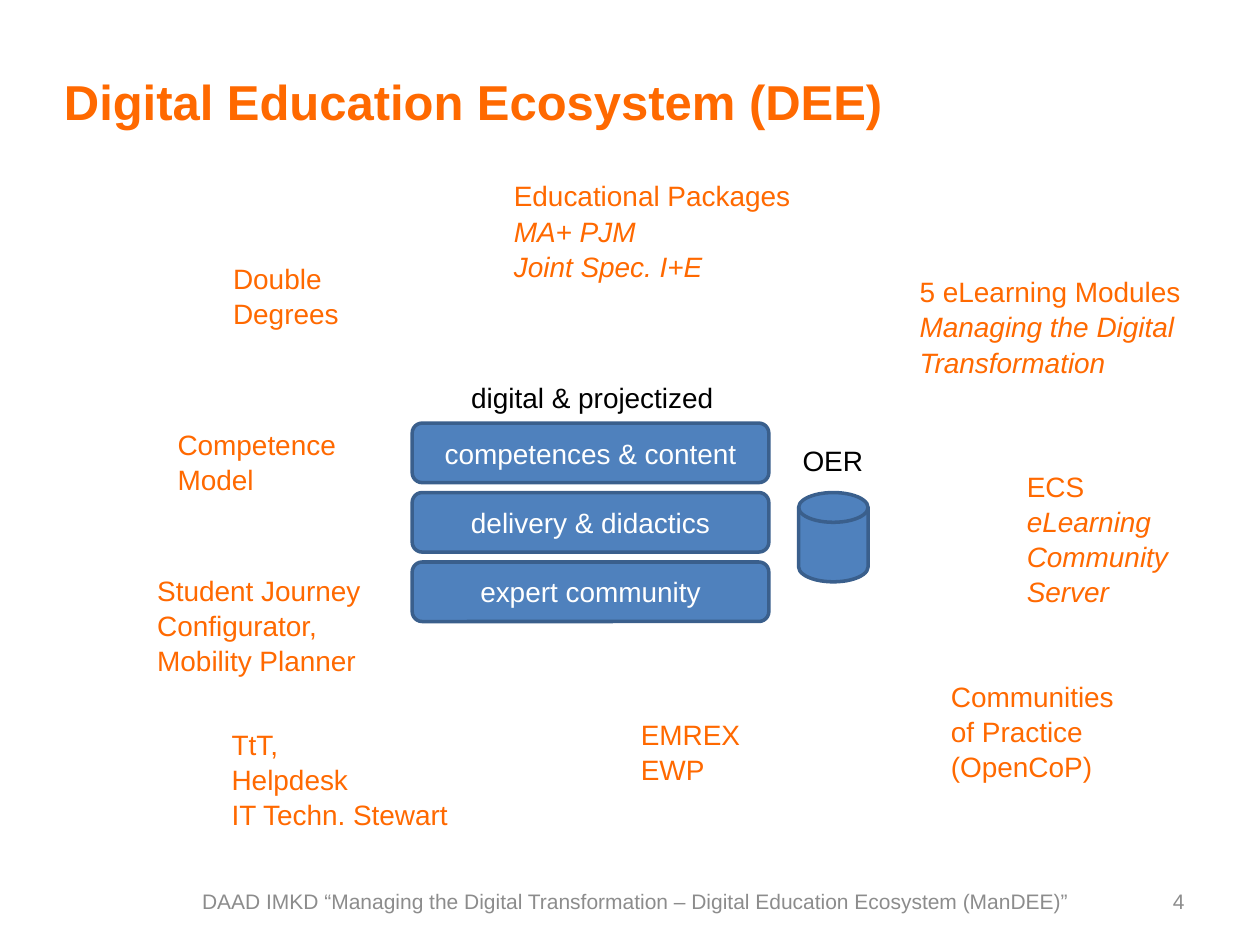
from pptx import Presentation
from pptx.dml.color import RGBColor
from pptx.enum.shapes import MSO_SHAPE as Shape
from pptx.enum.text import MSO_ANCHOR as Anchor, MSO_AUTO_SIZE as AutoSize, PP_ALIGN as Align
from pptx.util import Cm, Pt

ORANGE = RGBColor(0xFF, 0x69, 0x00)
BLUE = RGBColor(0x4F, 0x81, 0xBD)
DARK_BLUE = RGBColor(0x3A, 0x5F, 0x8C)
GREY = RGBColor(0x8C, 0x8C, 0x8C)
BLACK = RGBColor(0x00, 0x00, 0x00)
WHITE = RGBColor(0xFF, 0xFF, 0xFF)

deck = Presentation()
deck.slide_width, deck.slide_height = Cm(25.4), Cm(19.05)
page = deck.slides.add_slide(deck.slide_layouts[6])


def write(para, text, size, color, align=Align.LEFT):
    para.text = text
    para.alignment = align
    para.font.name = "Arial"
    para.font.size = Pt(size)
    para.font.color.rgb = color


def add_block(kind, left, top, width, height):
    block = page.shapes.add_shape(kind, Cm(left), Cm(top), Cm(width), Cm(height))
    block.shadow.inherit = False
    block.fill.solid()
    block.fill.fore_color.rgb = BLUE
    block.line.color.rgb = DARK_BLUE
    block.line.width = Pt(2)
    return block


frame_texts = [
    ("4", 18.21, 17.65, 5.92, 1.02, 12, GREY, Align.RIGHT, False),
    ("Digital Education Ecosystem (DEE)", 1.04, 0.53, 18.24, 3.02, 28, ORANGE, Align.LEFT, True),
    ("DAAD IMKD “Managing the Digital Transformation – Digital Education Ecosystem (ManDEE)”",
     3.71, 17.65, 18.21, 1.02, 12, GREY, Align.CENTER, False),
]
for text, left, top, width, height, size, color, align, bold in frame_texts:
    box = page.shapes.add_textbox(Cm(left), Cm(top), Cm(width), Cm(height))
    box.text_frame.word_wrap = True
    box.text_frame.vertical_anchor = Anchor.MIDDLE
    para = box.text_frame.paragraphs[0]
    write(para, text, size, color, align)
    para.font.bold = bold

for row, layer in enumerate(["competences & content", "delivery & didactics", "expert community"]):
    block = add_block(Shape.ROUNDED_RECTANGLE, 8.31, 8.53 + 1.4 * row, 7.19, 1.2)
    block.text_frame.vertical_anchor = Anchor.MIDDLE
    write(block.text_frame.paragraphs[0], layer, 16, WHITE, Align.CENTER)

add_block(Shape.FLOWCHART_MAGNETIC_DISK, 16.1, 9.93, 1.4, 1.8)

labels = [
    (9.25, 7.52, 5.44, BLACK, ["digital & projectized"], []),
    (15.93, 8.79, 1.75, BLACK, ["OER"], []),
    (18.92, 13.54, 3.99, ORANGE, ["Communities", "of Practice", "(OpenCoP)"], []),
    (18.29, 5.38, 5.89, ORANGE, ["5 eLearning Modules"], ["Managing the Digital", "Transformation"]),
    (10.11, 3.45, 6.15, ORANGE, ["Educational Packages"], ["MA+ PJM", "Joint Spec. I+E"]),
    (20.45, 9.3, 3.4, ORANGE, ["ECS"], ["eLearning", "Community", "Server"]),
    (12.67, 14.3, 2.54, ORANGE, ["EMREX", "EWP"], []),
    (4.45, 5.11, 2.67, ORANGE, ["Double", "Degrees"], []),
    (3.33, 8.46, 3.73, ORANGE, ["Competence", "Model"], []),
    (2.92, 11.4, 4.67, ORANGE, ["Student Journey", "Configurator,", "Mobility Planner"], []),
    (4.42, 14.5, 4.93, ORANGE, ["TtT,", "Helpdesk", "IT Techn. Stewart"], []),
]
for left, top, width, color, plain, italic in labels:
    lines = plain + italic
    height = 0.25 + 0.69 * len(lines)
    box = page.shapes.add_textbox(Cm(left), Cm(top), Cm(width), Cm(height))
    frame = box.text_frame
    frame.word_wrap = False
    frame.auto_size = AutoSize.SHAPE_TO_FIT_TEXT
    for number, line in enumerate(lines):
        para = frame.add_paragraph() if number else frame.paragraphs[0]
        write(para, line, 16, color)
        para.line_spacing = 1.05
        para.font.italic = number >= len(plain)

deck.save("out.pptx")
